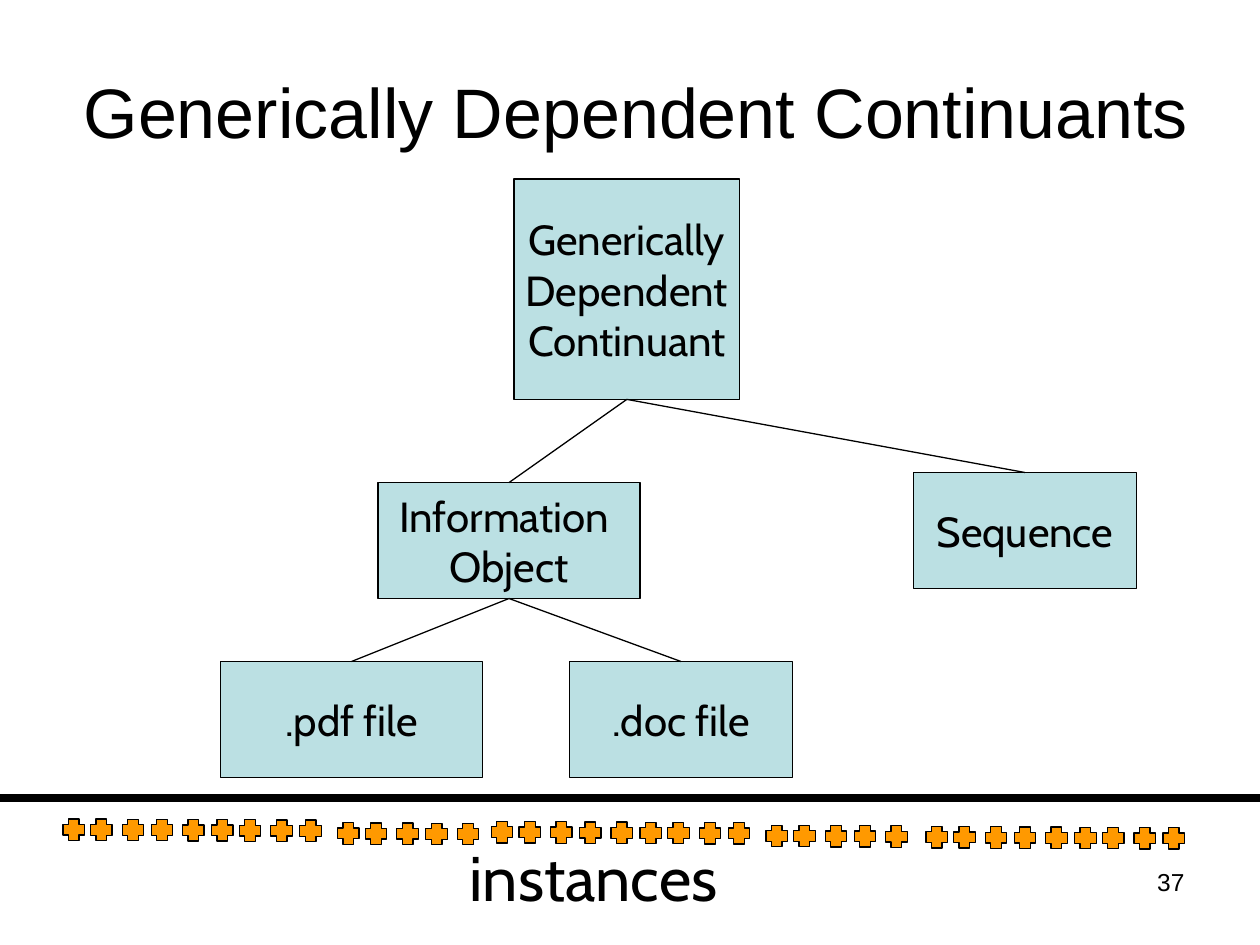
from dataclasses import dataclass

from lxml import etree
from pptx import Presentation
from pptx.dml.color import RGBColor
from pptx.enum.shapes import MSO_CONNECTOR, MSO_SHAPE
from pptx.enum.text import MSO_ANCHOR, MSO_AUTO_SIZE, PP_ALIGN
from pptx.oxml.ns import qn
from pptx.util import Inches, Pt

RECTANGLE, PLUS = MSO_SHAPE.RECTANGLE, MSO_SHAPE.CROSS
STRAIGHT = MSO_CONNECTOR.STRAIGHT
TOP, MIDDLE = MSO_ANCHOR.TOP, MSO_ANCHOR.MIDDLE
CENTER, RIGHT = PP_ALIGN.CENTER, PP_ALIGN.RIGHT
NO_AUTOFIT = MSO_AUTO_SIZE.NONE
TOP_SITE, BOTTOM_SITE = 0, 2

BLACK, PALE_TEAL, ORANGE = "000000", "BBE0E3", "FF9900"


@dataclass
class Node:
    text: str
    left: float
    top: float
    width: float
    height: float = 0.92
    parent: str = ""


@dataclass
class InstanceRow:
    left: float
    top: float
    count: int


NODES = [
    Node("Generically\nDependent\nContinuant", 4.08, 1.42, 1.79, 1.75),
    Node("Information \nObject", 3, 3.83, 2.08,
         parent="Generically\nDependent\nContinuant"),
    Node("Sequence", 7.25, 3.75, 1.77,
         parent="Generically\nDependent\nContinuant"),
    Node(".pdf file", 1.75, 5.25, 2.08, parent="Information \nObject"),
    Node(".doc file", 4.52, 5.25, 1.77, parent="Information \nObject"),
]

# The instance markers repeat one spacing pattern in five slightly sinking rows
MARKER_OFFSETS = [0, 0.22, 0.47, 0.7, 0.95, 1.18, 1.4, 1.65, 1.88]
MARKER_SIZE = 0.17
INSTANCE_ROWS = [
    InstanceRow(0.5, 6.5, 9),
    InstanceRow(2.68, 6.53, 5),
    InstanceRow(3.9, 6.52, 9),
    InstanceRow(6.08, 6.55, 5),
    InstanceRow(7.35, 6.56, 9),
]


def color(hex_code: str) -> RGBColor:
    return RGBColor.from_string(hex_code)


def place(shape, left: float, top: float, width: float, height: float) -> None:
    shape.left, shape.top = Inches(left), Inches(top)
    shape.width, shape.height = Inches(width), Inches(height)


def write(shape, text: str, *, size: float, font: str = "Cabin",
          align=CENTER, anchor=MIDDLE, wrap: bool = False) -> None:
    frame = shape.text_frame
    frame.text = text
    frame.auto_size = NO_AUTOFIT
    frame.word_wrap = wrap
    frame.vertical_anchor = anchor
    for paragraph in frame.paragraphs:
        paragraph.alignment = align
        paragraph.font.size = Pt(size)
        paragraph.font.name = font
        paragraph.font.color.rgb = color(BLACK)


def add_filled(shapes, kind, left: float, top: float, width: float,
               height: float, fill: str):
    shape = shapes.add_shape(kind, Inches(left), Inches(top),
                             Inches(width), Inches(height))
    shape.shadow.inherit = False
    shape.fill.solid()
    shape.fill.fore_color.rgb = color(fill)
    shape.line.color.rgb = color(BLACK)
    shape.line.width = Pt(0.75)
    return shape


def add_line(slide, start: tuple[float, float] = (0, 0),
             end: tuple[float, float] = (0, 0), weight: float = 0.75):
    line = slide.shapes.add_connector(
        STRAIGHT, *(Inches(value) for value in (*start, *end)))
    line.line.color.rgb = color(BLACK)
    line.line.width = Pt(weight)
    etree.SubElement(line._element.spPr, qn("a:effectLst"))
    return line


def add_tree(slide, nodes: list[Node]) -> None:
    boxes = {}
    for node in nodes:
        box = add_filled(slide.shapes, RECTANGLE, node.left, node.top,
                         node.width, node.height, PALE_TEAL)
        write(box, node.text, size=24)
        boxes[node.text] = box
    for node in nodes:
        if node.parent:
            branch = add_line(slide)
            branch.begin_connect(boxes[node.parent], BOTTOM_SITE)
            branch.end_connect(boxes[node.text], TOP_SITE)


def add_instances(slide, row: InstanceRow) -> None:
    group = slide.shapes.add_group_shape()
    for offset in MARKER_OFFSETS[:row.count]:
        # Each row sinks slightly towards the right
        add_filled(group.shapes, PLUS, row.left + offset,
                   row.top + 0.005 * offset, MARKER_SIZE, MARKER_SIZE, ORANGE)


def add_label(slide, text: str, left: float, top: float, width: float,
              height: float, **text_format) -> None:
    label = slide.shapes.add_textbox(Inches(left), Inches(top),
                                     Inches(width), Inches(height))
    write(label, text, **text_format)


def main() -> None:
    presentation = Presentation()
    presentation.slide_width, presentation.slide_height = Inches(10), Inches(7.5)
    slide = presentation.slides.add_slide(presentation.slide_layouts[5])

    # Title
    title = slide.shapes.title
    place(title, 0.42, 0.25, 9.25, 1.25)
    write(title, "Generically Dependent Continuants", size=40, font="Arial",
          wrap=True)

    # Class hierarchy
    add_tree(slide, NODES)

    # Instances below the dividing line
    add_line(slide, (0, 6.33), (10.33, 6.33), weight=4.5)
    for row in INSTANCE_ROWS:
        add_instances(slide, row)
    add_label(slide, "instances", 1.25, 6.58, 6.92, 0.75, size=36)

    # Page number
    add_label(slide, "37", 7.17, 6.83, 2.33, 0.52, size=14, font="Arial",
              align=RIGHT, anchor=TOP, wrap=True)

    presentation.save("out.pptx")


if __name__ == "__main__":
    main()
